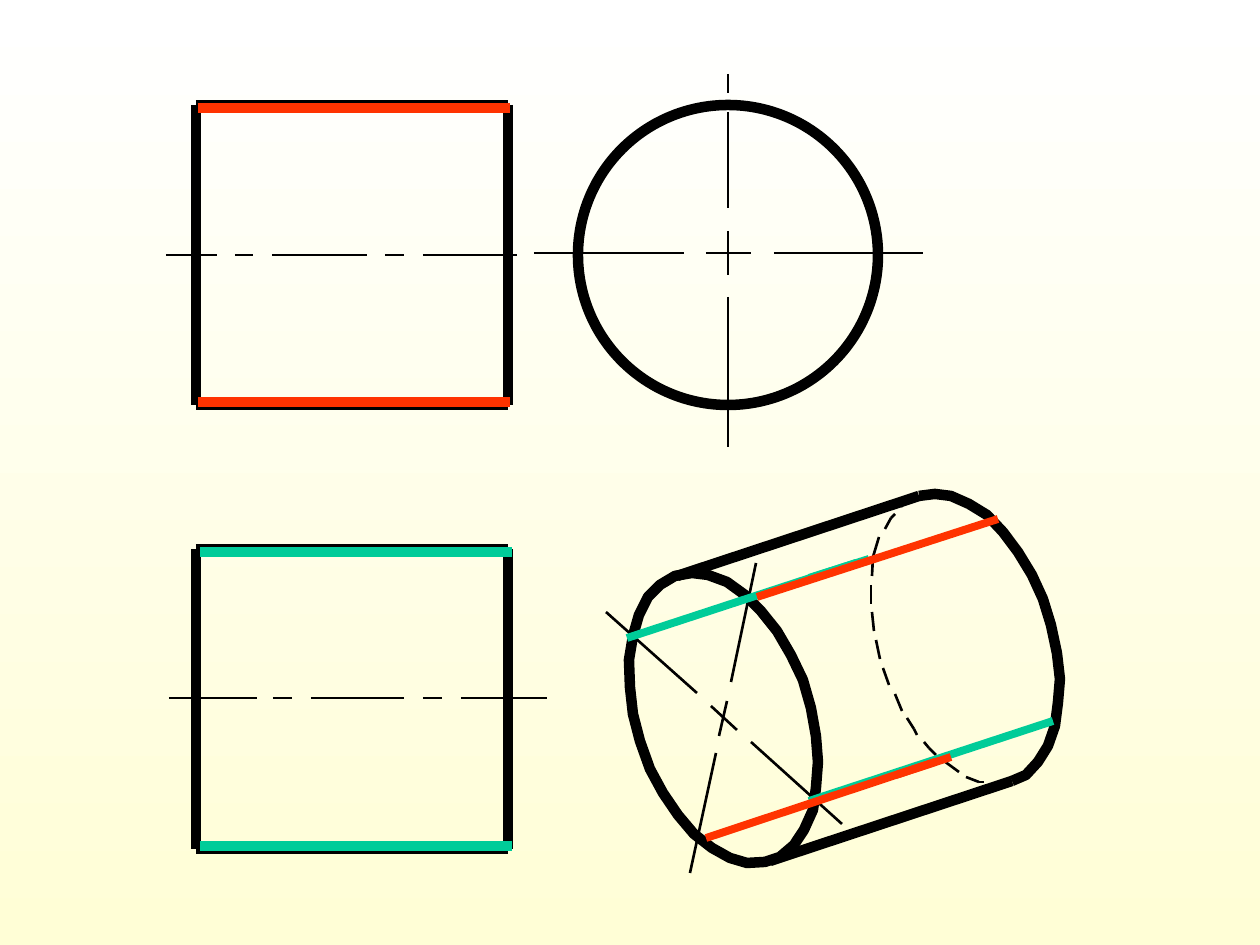
from dataclasses import dataclass
from itertools import pairwise

from lxml.etree import SubElement
from pptx import Presentation
from pptx.dml.color import RGBColor
from pptx.enum.shapes import MSO_CONNECTOR, MSO_SHAPE
from pptx.oxml.ns import qn
from pptx.util import Inches, Pt

PX = Inches(1) / 126


@dataclass(frozen=True)
class Theme:
    black: str = "000000"
    green: str = "00CC99"
    red: str = "FF3300"
    sky: str = "FFFFFF"
    cream: str = "FFFED6"
    thin: float = 1.5
    medium: float = 4.5
    thick: float = 6


class Drawing:
    def __init__(self, slide, theme):
        self.slide = slide
        self.theme = theme

    def background(self):
        fill = self.slide.background.fill
        fill.gradient()
        fill.gradient_angle = 270
        for stop, color in zip(fill.gradient_stops, (self.theme.sky, self.theme.cream)):
            stop.color.rgb = RGBColor.from_string(color)

    def ink(self, line, color, weight):
        line.fill.solid()
        formats = {
            line: {"width": Pt(weight)},
            line.color: {"rgb": RGBColor.from_string(color)},
        }
        for part, values in formats.items():
            for name, value in values.items():
                setattr(part, name, value)

    def outline(self, shape):
        shape.shadow.inherit = False
        shape.fill.background()
        self.ink(shape.line, self.theme.black, self.theme.thick)

    def line(self, start, end, weight, color=None):
        ends = [round(value * PX) for value in (*start, *end)]
        stroke = self.slide.shapes.add_connector(MSO_CONNECTOR.STRAIGHT, *ends)
        SubElement(stroke.element.spPr, qn("a:effectLst"))
        self.ink(stroke.line, color or self.theme.black, weight)
        # effectLst has to follow the line properties
        properties = stroke.element.spPr
        properties.append(properties.find(qn("a:effectLst")))

    def dashes(self, spans, y=None, x=None):
        for first, last in spans:
            if x is None:
                self.line((first, y), (last, y), self.theme.thin)
            else:
                self.line((x, first), (x, last), self.theme.thin)

    def circle(self, left, top, size):
        box = [round(value * PX) for value in (left, top, size, size)]
        self.outline(self.slide.shapes.add_shape(MSO_SHAPE.OVAL, *box))

    def curve(self, points, close=False):
        builder = self.slide.shapes.build_freeform(*points[0], scale=PX)
        builder.add_line_segments(points[1:], close=close)
        self.outline(builder.convert_to_shape())


LEFT, RIGHT, SIZE = 196, 508, 300
FRONT_TOP, PLAN_TOP = 105, 549

FRONT_RIM = [
    (633, 636), (629, 660), (630, 687), (633, 714), (640, 741), (650, 769),
    (663, 793), (678, 815), (694, 834), (712, 848), (730, 858), (747, 863),
    (765, 862), (780, 857), (794, 845), (804, 830), (813, 810), (816, 788),
    (818, 762), (816, 736), (811, 708), (803, 680), (791, 655), (777, 631),
    (761, 611), (745, 595), (727, 582), (708, 575), (692, 573), (675, 576),
    (660, 585), (648, 597), (639, 615),
]
BACK_RIM = [
    (1012, 781), (1026, 775), (1038, 762), (1048, 746), (1055, 726), (1058, 703),
    (1060, 679), (1057, 653), (1051, 625), (1043, 599), (1032, 575), (1018, 552),
    (1003, 532), (987, 515), (969, 504), (951, 496), (935, 494), (919, 496),
]
HIDDEN_RIM = [
    [(919, 496), (903, 504), (901, 507)],
    [(895, 514), (891, 518), (885, 529)],
    [(879, 537), (873, 557), (872, 576)],
    [(871, 585), (871, 604)],
    [(872, 612), (874, 631)],
    [(876, 640), (880, 659)],
    [(883, 668), (889, 685)],
    [(895, 694), (902, 711)],
    [(907, 718), (914, 729), (917, 735)],
    [(924, 742), (929, 748), (936, 755)],
    [(944, 761), (959, 772)],
    [(966, 777), (979, 782), (984, 782)],
    [(994, 784), (1012, 781)],
]
RIM_AXES = [
    ((606, 612), (697, 693)), ((711, 706), (737, 730)), ((751, 742), (842, 824)),
    ((756, 563), (731, 682)), ((727, 701), (719, 736)), ((716, 753), (690, 873)),
]
GREEN_GENERATORS = [
    ((809, 801), (1053, 721)), ((627, 638), (856, 563)), ((809, 578), (869, 559)),
]
RED_GENERATORS = [
    ((757, 597), (998, 519)), ((706, 838), (935, 762)), ((896, 775), (951, 757)),
]


def main():
    deck = Presentation()
    deck.slide_width, deck.slide_height = Inches(10), Inches(7.5)
    theme = Theme()
    drawing = Drawing(deck.slides.add_slide(deck.slide_layouts[6]), theme)
    drawing.background()

    # Side view: circle and its centre lines
    drawing.circle(578, FRONT_TOP, SIZE)
    drawing.dashes([(74, 93), (112, 208), (231, 275), (297, 447)], x=728)
    drawing.dashes([(534, 684), (706, 751), (774, 923)], y=253)

    # Front view and plan: axis, then square outline
    front_axis = [(166, 217), (235, 253), (272, 367), (385, 404), (423, 517)]
    plan_axis = [(169, 257), (273, 292), (311, 404), (423, 442), (461, 547)]
    for top, axis, axis_y in ((FRONT_TOP, front_axis, 255), (PLAN_TOP, plan_axis, 698)):
        bottom = top + SIZE
        drawing.dashes(axis, y=axis_y)
        for y in (top, bottom):
            drawing.line((LEFT, y), (RIGHT, y), theme.thick)
        for x in (LEFT, RIGHT):
            drawing.line((x, top), (x, bottom), theme.thick)

    # Cylinder: hidden rim, axes, visible rims and edges
    for dash in HIDDEN_RIM:
        for start, end in pairwise(dash):
            drawing.line(start, end, theme.thin)
    for start, end in RIM_AXES:
        drawing.line(start, end, theme.thin)
    drawing.curve(BACK_RIM)
    drawing.curve(FRONT_RIM, close=True)
    drawing.line((770, 861), BACK_RIM[0], theme.thick)
    drawing.line(BACK_RIM[-1], (677, 576), theme.thick)

    # Coloured generators, in the flat view and on the cylinder
    for color, top, shift, generators in (
        (theme.green, PLAN_TOP, 4, GREEN_GENERATORS),
        (theme.red, FRONT_TOP, 2, RED_GENERATORS),
    ):
        for y in (top + 3, top + SIZE - 3):
            drawing.line((LEFT + shift, y), (RIGHT + shift, y), theme.thick, color)
        for start, end in generators:
            drawing.line(start, end, theme.medium, color)

    deck.save("out.pptx")


if __name__ == "__main__":
    main()
